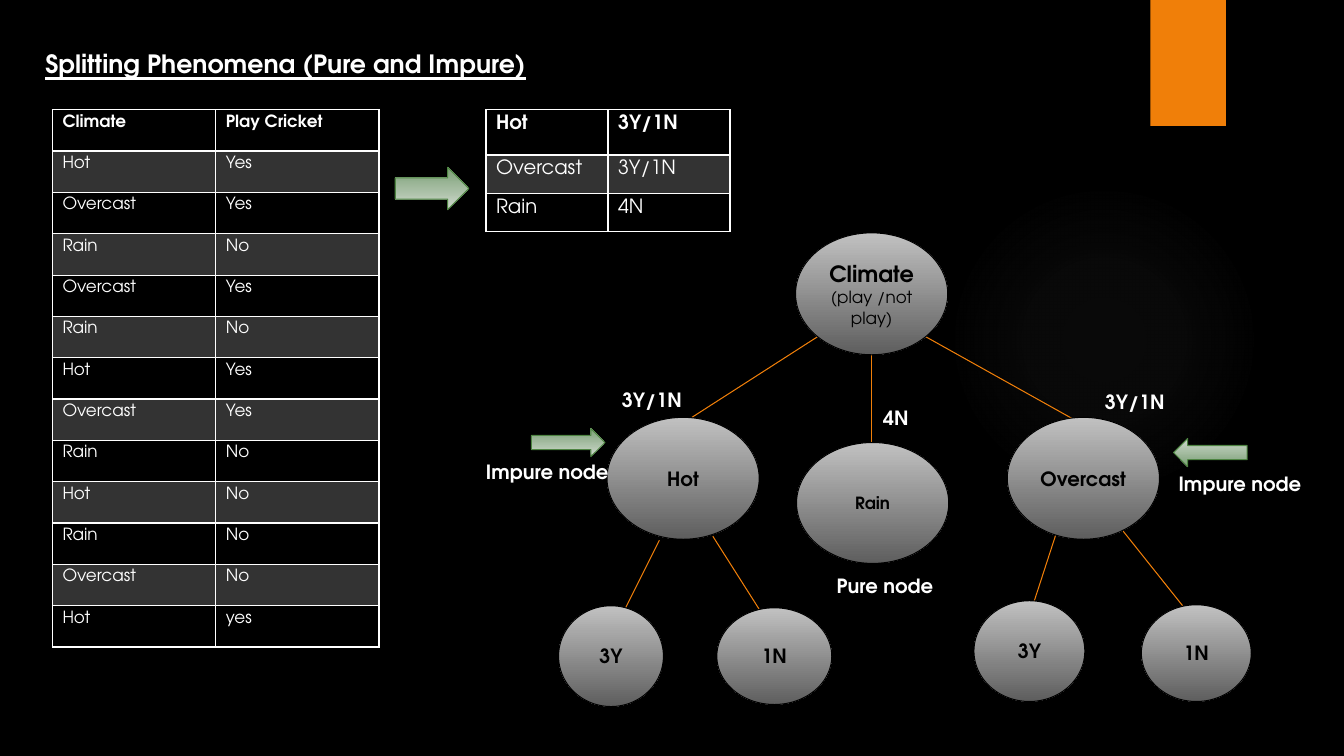
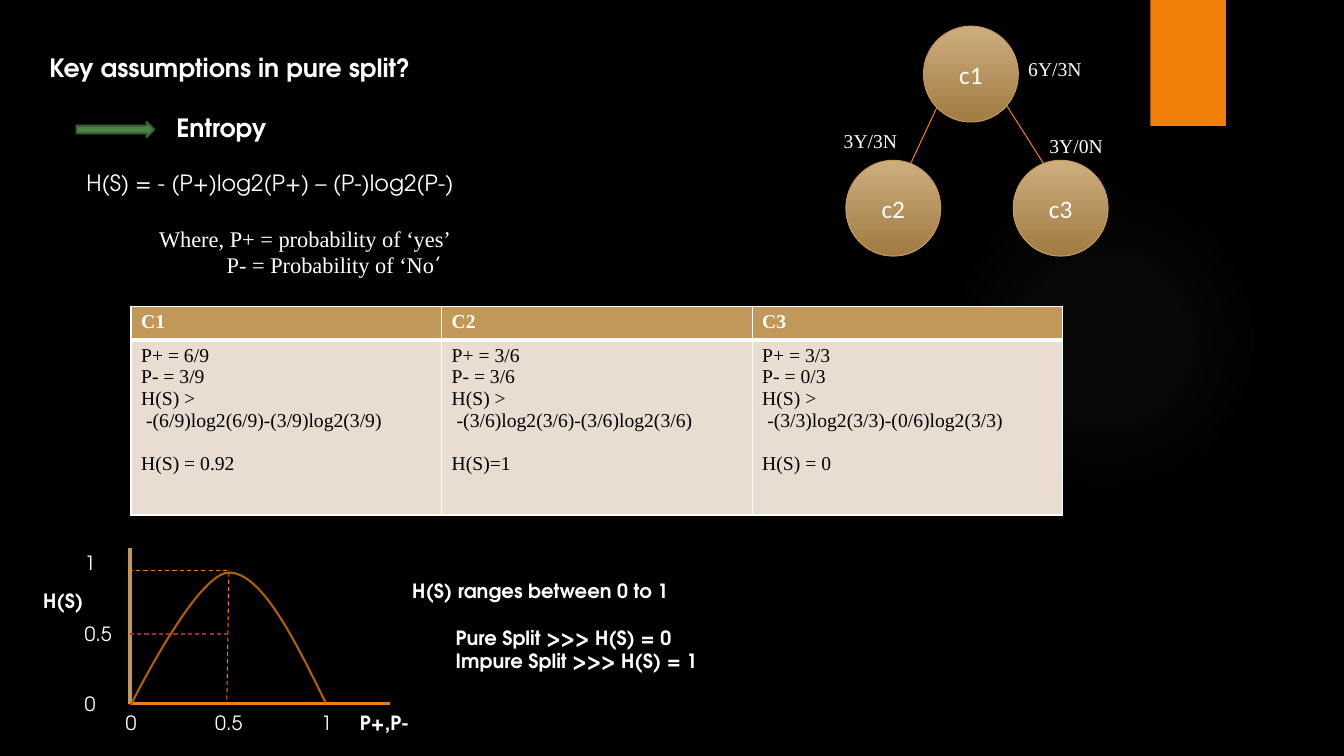
from dataclasses import dataclass, replace

from pptx import Presentation
from pptx.dml.color import RGBColor
from pptx.enum.dml import MSO_LINE
from pptx.enum.shapes import MSO_CONNECTOR, MSO_SHAPE
from pptx.enum.text import MSO_ANCHOR, MSO_AUTO_SIZE, PP_ALIGN
from pptx.oxml import parse_xml
from pptx.oxml.ns import nsdecls
from pptx.util import Inches, Pt

LEFT, CENTER = PP_ALIGN.LEFT, PP_ALIGN.CENTER
TOP, MIDDLE = MSO_ANCHOR.TOP, MSO_ANCHOR.MIDDLE
NO_AUTOFIT = MSO_AUTO_SIZE.NONE
OVAL, RECTANGLE = MSO_SHAPE.OVAL, MSO_SHAPE.RECTANGLE
NODE = MSO_SHAPE.FLOWCHART_CONNECTOR
LEFT_ARROW, RIGHT_ARROW = MSO_SHAPE.LEFT_ARROW, MSO_SHAPE.RIGHT_ARROW
STRAIGHT, DASH = MSO_CONNECTOR.STRAIGHT, MSO_LINE.DASH
TITLE_ONLY = 5


@dataclass(frozen=True)
class Theme:
    black: str = "000000"
    white: str = "FFFFFF"
    orange: str = "F07F09"
    brown: str = "B25E07"
    red: str = "9F2936"
    gold: str = "C19859"
    sand: str = "E9DDD1"
    band: str = "333333"
    green: str = "4E8542"
    dark_green: str = "3A6231"
    gray_fade: tuple = ("C1C1C1", "5E5E5E")
    gold_fade: tuple = ("CEAE7E", "A07B42")
    green_fade: tuple = ("CFD9CE", "7A9F74")
    glow: str = "848484"
    sans: str = "TeX Gyre Adventor"
    serif: str = "Times New Roman"
    plain: str = "Calibri"
    heading: int = 18
    large: int = 16
    body: int = 14
    small: int = 12


@dataclass(frozen=True)
class Style:
    font: str
    size: int
    color: str
    bold: bool = False
    underline: bool = False


@dataclass(frozen=True)
class Line:
    runs: tuple
    indent: float = 0
    before: float = 0


THEME = Theme()
HEADING = Style(THEME.sans, THEME.heading, THEME.white, True)
LABEL = Style(THEME.sans, THEME.body, THEME.white, True)
AXIS = replace(LABEL, bold=False)
FORMULA = replace(AXIS, size=THEME.large)
SERIF_LABEL = Style(THEME.serif, THEME.body, THEME.white)
SERIF_NOTE = replace(SERIF_LABEL, size=THEME.large)
NODE_TEXT = replace(LABEL, color=THEME.black)
CLASS_TEXT = Style(THEME.plain, THEME.heading, THEME.white)


def rgb(color):
    return RGBColor.from_string(color)


def line(text, style, indent=0, before=0):
    return Line(((text, style),), indent, before)


class Deck:
    def __init__(self, theme):
        self.theme = theme
        self.show = Presentation()
        self.show.slide_width, self.show.slide_height = Inches(13.33), Inches(7.5)
        self.slide = None

    def new_slide(self, title, style, left, top):
        self.slide = self.show.slides.add_slide(self.show.slide_layouts[TITLE_ONLY])
        background = self.slide.background.fill
        background.solid()
        background.fore_color.rgb = rgb(self.theme.black)
        self.glow()
        self.shape(RECTANGLE, (11.41, 0, 0.75, 1.25), self.theme.orange)
        heading = self.slide.shapes.title
        heading.left, heading.top = Inches(left), Inches(top)
        heading.width, heading.height = Inches(8), Inches(0.4)
        self.set_text(heading.text_frame, [line(title, style)])

    def glow(self):
        halo = self.shape(OVAL, (9.41, 1.83, 3.08, 3.08))
        stops = "".join(
            f'<a:gs pos="{place}000"><a:srgbClr val="{self.theme.glow}">'
            f'<a:alpha val="{alpha}000"/></a:srgbClr></a:gs>'
            for place, alpha in ((0, 7), (36, 6), (69, 0)))
        halo.fill.background()
        properties = halo._element.spPr
        properties.replace(properties.find("{*}noFill"), parse_xml(
            f'<a:gradFill {nsdecls("a")}><a:gsLst>{stops}</a:gsLst><a:path path="circle">'
            '<a:fillToRect l="50000" t="50000" r="50000" b="50000"/></a:path></a:gradFill>'))

    def set_text(self, frame, lines, align=LEFT, anchor=TOP):
        frame.word_wrap = True
        frame.auto_size = NO_AUTOFIT
        frame.vertical_anchor = anchor
        self.fill_lines(frame, lines, align)

    def fill_lines(self, frame, lines, align=LEFT):
        for number, item in enumerate(lines):
            paragraph = frame.add_paragraph() if number else frame.paragraphs[0]
            paragraph.alignment = align
            paragraph.space_before = Pt(item.before)
            if item.indent:
                paragraph._p.get_or_add_pPr().set("marL", str(Inches(item.indent)))
            for text, style in item.runs:
                run = paragraph.add_run()
                run.text = text
                font = run.font
                font.name, font.size = style.font, Pt(style.size)
                font.bold, font.underline = style.bold, style.underline
                font.color.rgb = rgb(style.color)

    def text(self, box, lines, align=LEFT):
        frame = self.slide.shapes.add_textbox(*map(Inches, box)).text_frame
        self.set_text(frame, lines, align)

    def label(self, left, top, text, style, width=1.51, align=LEFT):
        self.text((left, top, width, 0.34), [line(text, style)], align)

    def shape(self, kind, box, fill=None, outline=None, weight=0.75):
        shape = self.slide.shapes.add_shape(kind, *map(Inches, box))
        shape.shadow.inherit = False
        if isinstance(fill, tuple):
            shape.fill.gradient()
            shape.fill.gradient_angle = 270
            for stop, color in zip(shape.fill.gradient_stops, fill):
                stop.color.rgb = rgb(color)
        elif fill:
            shape.fill.solid()
            shape.fill.fore_color.rgb = rgb(fill)
        if outline:
            shape.line.color.rgb = rgb(outline)
            shape.line.width = Pt(weight)
        else:
            shape.line.fill.background()
        return shape

    def node(self, box, lines, fill, outline):
        circle = self.shape(NODE, box, fill, outline)
        self.set_text(circle.text_frame, lines, CENTER, MIDDLE)

    def pointer(self, box, rotation=0):
        arrow = self.shape(LEFT_ARROW, box, self.theme.green_fade, self.theme.green)
        arrow.rotation = rotation

    def connect(self, start, end, color=None, weight=0.75, dash=None):
        link = self.slide.shapes.add_connector(STRAIGHT, *map(Inches, start + end))
        link.line.color.rgb = rgb(color or self.theme.orange)
        link.line.width = Pt(weight)
        if dash:
            link.line.dash_style = dash
        link._element.spPr.append(parse_xml(f'<a:effectLst {nsdecls("a")}/>'))

    def curve(self, points, color, weight):
        points = [(Inches(x), Inches(y)) for x, y in points]
        builder = self.slide.shapes.build_freeform(*points[0], scale=1.0)
        builder.add_line_segments(points[1:], close=False)
        arch = builder.convert_to_shape()
        arch.shadow.inherit = False
        arch.fill.background()
        arch.line.color.rgb = rgb(color)
        arch.line.width = Pt(weight)

    def table(self, left, top, column_width, heights, rows, fills, rule):
        columns = len(rows[0])
        frame = self.slide.shapes.add_table(
            len(rows), columns, Inches(left), Inches(top),
            Inches(column_width * columns), Inches(sum(heights)))
        grid = frame.table
        grid.horz_banding = False
        for column in grid.columns:
            column.width = Inches(column_width)
        for r, (height, row) in enumerate(zip(heights, rows)):
            grid.rows[r].height = Inches(height)
            for c, lines in enumerate(row):
                cell = grid.cell(r, c)
                self.fill_lines(cell.text_frame, lines)
                if fills[r]:
                    cell.fill.solid()
                    cell.fill.fore_color.rgb = rgb(fills[r])
                else:
                    cell.fill.background()
                self.borders(cell, rule if r == 1 else 1, rule if r == 0 else 1)

    def borders(self, cell, above, below):
        properties = cell._tc.get_or_add_tcPr()
        for place, (side, weight) in enumerate(zip("LRTB", (1, 1, above, below))):
            properties.insert(place, parse_xml(
                f'<a:ln{side} {nsdecls("a")} w="{Pt(weight)}"><a:solidFill>'
                f'<a:srgbClr val="{self.theme.white}"/></a:solidFill></a:ln{side}>'))

    def banded_table(self, left, top, column_width, heights, rows, size):
        head = replace(LABEL, size=size)
        styles = [head] + [replace(head, bold=False)] * (len(rows) - 1)
        cells = [[[line(text, style)] for text in row] for row, style in zip(rows, styles)]
        fills = [self.theme.band if r % 2 else None for r in range(len(rows))]
        self.table(left, top, column_width, heights, cells, fills, 2)


def bezier(a, b, c, d, steps=24):
    for step in range(steps + 1):
        t = step / steps
        u = 1 - t
        yield tuple(u**3 * p + 3 * u * u * t * q + 3 * u * t * t * r + t**3 * s
                    for p, q, r, s in zip(a, b, c, d))


def splitting_slide(deck):
    theme = deck.theme
    deck.new_slide("Splitting Phenomena (Pure and Impure)",
                   replace(HEADING, underline=True), 0.35, 0.43)
    climates = ("Hot Overcast Rain Overcast Rain Hot Overcast "
                "Rain Hot Rain Overcast Hot").split()
    played = "Yes Yes No Yes No Yes Yes No No No No yes".split()
    records = [("Climate", "Play Cricket"), *zip(climates, played)]
    deck.banded_table(0.52, 1.09, 1.62, [0.41] * len(records), records, theme.small)
    counts = [("Hot", "3Y/1N"), ("Overcast", "3Y/1N"), ("Rain", "4N")]
    deck.banded_table(4.82, 1.09, 1.21, [0.45, 0.38, 0.38], counts, theme.body)

    branches = [
        ((8.11, 3.34), (6.77, 4.2)), ((8.64, 3.52), (8.64, 4.42)),
        ((9.18, 3.34), (10.72, 4.2)), ((6.54, 5.36), (6.19, 6.06)),
        ((7.07, 5.32), (7.54, 6.06)), ((11.14, 5.27), (11.73, 6.01)),
        ((10.47, 5.31), (10.21, 6.11))]
    for start, end in branches:
        deck.connect(start, end)

    small = replace(NODE_TEXT, size=theme.small)
    root = [line("Climate", replace(NODE_TEXT, size=theme.large)),
            line("(play /not play)", replace(small, bold=False))]
    nodes = [
        ((7.89, 2.31, 1.51, 1.21), root),
        ((6.02, 4.14, 1.51, 1.21), [line("Hot", NODE_TEXT)]),
        ((7.9, 4.39, 1.51, 1.2), [line("Rain", small)]),
        ((9.99, 4.14, 1.51, 1.21), [line("Overcast", NODE_TEXT)]),
        ((5.54, 6.01, 1.04, 1), [line("3Y", NODE_TEXT)]),
        ((7.11, 6.03, 1.14, 0.96), [line("1N", NODE_TEXT)]),
        ((9.66, 5.96, 1.1, 1), [line("3Y", NODE_TEXT)]),
        ((11.32, 6, 1.09, 0.96), [line("1N", NODE_TEXT)])]
    for box, lines in nodes:
        deck.node(box, lines, theme.gray_fade, theme.black)

    for left, top, text in [
            (6.07, 3.8, "3Y/1N"), (10.86, 3.82, "3Y/1N"), (8.66, 3.98, "4N"),
            (4.72, 4.51, "Impure node"), (11.59, 4.63, "Impure node"),
            (8.2, 5.64, "Pure node")]:
        deck.label(left, top, text, LABEL)
    deck.pointer((3.92, 1.66, 0.73, 0.42), 180)
    deck.pointer((5.27, 4.25, 0.73, 0.28), 180)
    deck.pointer((11.64, 4.35, 0.73, 0.28))


def entropy_slide(deck):
    theme = deck.theme
    deck.new_slide("Key assumptions in pure split?", HEADING, 0.39, 0.47)
    deck.label(1.65, 1.07, "Entropy", HEADING)
    deck.shape(RIGHT_ARROW, (0.76, 1.21, 0.77, 0.15), theme.green, theme.dark_green, 1.5)
    deck.label(0.76, 1.63, "H(S) = - (P+)log2(P+) – (P-)log2(P-)", FORMULA, 4.73)
    deck.text((1.48, 2.18, 4, 0.65), [
        line("Where, P+ = probability of ‘yes’", SERIF_NOTE),
        Line((("P- = Probability of ‘No", SERIF_NOTE), ("’", FORMULA)), 0.67)])

    deck.connect((9.29, 1.07), (9.01, 1.67))
    deck.connect((9.98, 1.04), (10.38, 1.67))
    for name, left, top in [("c1", 9.16, 0.26), ("c2", 8.39, 1.59), ("c3", 10.05, 1.59)]:
        deck.node((left, top, 0.94, 0.95), [line(name, CLASS_TEXT)],
                  theme.gold_fade, theme.gold)
    for left, top, text in [(10.1, 0.52, "6Y/3N"), (10.31, 1.28, "3Y/0N"),
                            (8.27, 1.23, "3Y/3N")]:
        deck.label(left, top, text, SERIF_LABEL, 0.8)

    head = replace(SERIF_LABEL, bold=True)
    work = replace(SERIF_LABEL, color=theme.black)
    splits = [
        ("P+ = 6/9", "P- = 3/9", "-(6/9)log2(6/9)-(3/9)log2(3/9)", "H(S) = 0.92"),
        ("P+ = 3/6", "P- = 3/6", "-(3/6)log2(3/6)-(3/6)log2(3/6)", "H(S)=1"),
        ("P+ = 3/3", "P- = 0/3", "-(3/3)log2(3/3)-(0/6)log2(3/3)", "H(S) = 0")]
    workings = [[line(yes, work), line(no, work), line("H(S) >", work),
                 line(formula, work, 0.05), line(result, work, before=15.5)]
                for yes, no, formula, result in splits]
    headers = [[line(name, head)] for name in ("C1", "C2", "C3")]
    deck.table(1.3, 3.04, 3.08, [0.33, 1.74], [headers, workings],
               [theme.gold, theme.sand], 3)
    entropy_graph(deck)
    deck.text((3.99, 5.69, 4.28, 1.04), [
        line("H(S) ranges between 0 to 1", LABEL),
        line("Pure Split >>> H(S) = 0", LABEL, 0.43, 17),
        line("Impure Split >>> H(S) = 1", LABEL, 0.43)])


def entropy_graph(deck):
    theme = deck.theme
    deck.connect((1.29, 5.44), (1.29, 6.98), theme.gold, 2.25)
    deck.connect((1.29, 6.98), (3.87, 6.98), weight=2.25)
    peak, origin = (2.27, 5.68), (1.3, 6.99)
    falling = bezier((3.23, 6.97), (2.91, 6.32), (2.59, 5.68), peak)
    rising = bezier(peak, (1.95, 5.68), origin, origin)
    deck.curve([*falling, *list(rising)[1:]], theme.brown, 1.5)
    deck.connect((1.28, 5.66), (2.25, 5.66), dash=DASH)
    deck.connect(peak, (2.25, 6.98), dash=DASH)
    deck.connect((1.29, 6.29), (2.27, 6.29), theme.red, dash=DASH)
    for step, tick in enumerate(("0", "0.5", "1")):
        deck.label(1 + 0.97 * step, 7, tick, AXIS, 0.6, CENTER)
        deck.label(0.74, 6.82 - 0.7 * step, tick, AXIS, 0.6)
    deck.label(3.47, 7, "P+,P-", LABEL, 1)
    deck.label(0.33, 5.79, "H(S)", LABEL, 0.66)


def main():
    deck = Deck(THEME)
    splitting_slide(deck)
    entropy_slide(deck)
    deck.show.save("out.pptx")


if __name__ == "__main__":
    main()
